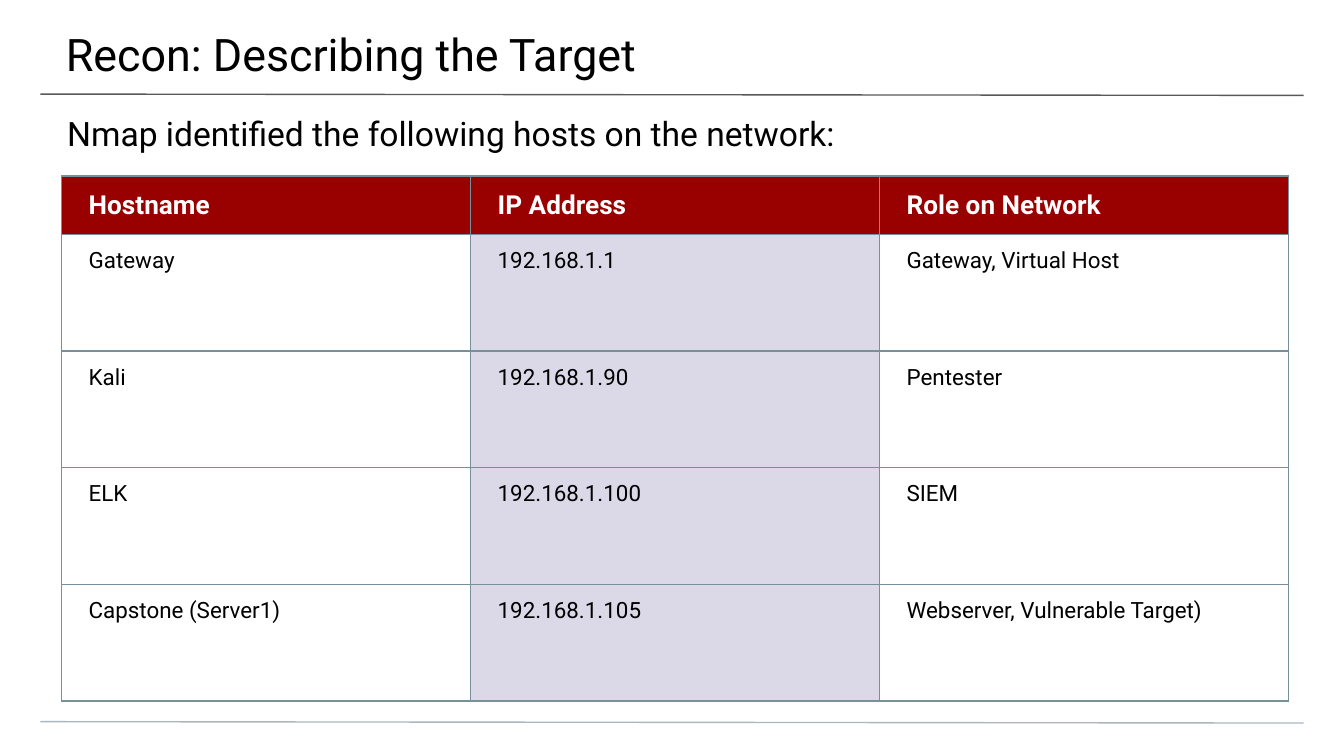
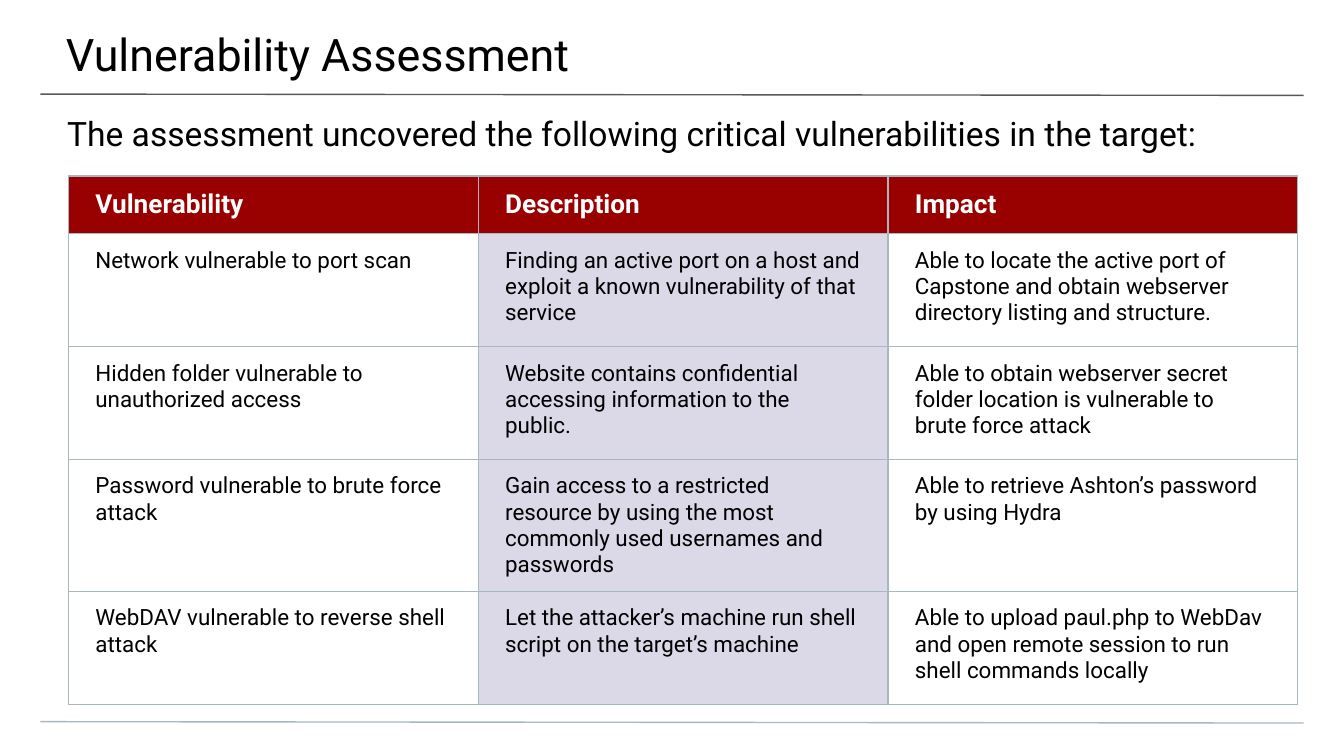
from dataclasses import dataclass
from typing import Any, NamedTuple

from lxml.etree import SubElement as Sub
from pptx import Presentation
from pptx.dml.color import RGBColor as Rgb
from pptx.enum.shapes import MSO_CONNECTOR as Link
from pptx.enum.text import MSO_ANCHOR as Anchor, MSO_AUTO_SIZE as Fit, PP_ALIGN as Align
from pptx.oxml import parse_xml
from pptx.oxml.ns import nsdecls, qn
from pptx.slide import Slide
from pptx.util import Emu, Inches, Pt

WIDE, HIGH = Inches(10), Inches(5.625)
COLS = 100
UNIT = WIDE / COLS


@dataclass(frozen=True)
class Theme:
    face: str = "Roboto"
    ink: str = "000000"
    light: str = "FFFFFF"
    head: str = "990000"
    tint: str = "DBD9E8"
    rule: str = "595959"
    foot: str = "A9B7C0"
    title: int = 24
    lead: int = 18
    label: int = 14
    body: int = 12
    line: float = 0.75


class Box(NamedTuple):
    left: float
    top: float
    width: float
    height: float


class Pad(NamedTuple):
    left: float
    top: float
    right: float
    bottom: float


class Rule(NamedTuple):
    top: float
    color: str


class Grid(NamedTuple):
    left: float
    col: float
    head: float
    row: float
    edge: str
    cells: list[tuple[str, str, str]]


class Page(NamedTuple):
    title: str
    lead: str
    grid: Grid


THEME = Theme()
TITLE, TITLE_PAD = Box(-0.1, 0, 100.3, 5.8), Pad(5, 2, 3, 1)
LEAD, LEAD_PAD = Box(0, 7.4, 100, 4), Pad(5, 1, 5, 0)
CELL_PAD = Pad(2, 1, 2, 1)
GRID_TOP = 13.1
RULES = [Rule(7, THEME.rule), Rule(53.7, THEME.foot)]

PAGES = [
    Page(
        "Recon: Describing the Target",
        "Nmap identified the following hosts on the network:",
        Grid(4.6, 30.43, 4.35, 8.68, "78909C", [
            ("Hostname", "IP Address", "Role on Network"),
            ("Gateway", "192.168.1.1", "Gateway, Virtual Host"),
            ("Kali", "192.168.1.90", "Pentester"),
            ("ELK", "192.168.1.100", "SIEM"),
            ("Capstone (Server1)", "192.168.1.105", "Webserver, Vulnerable Target)"),
        ]),
    ),
    Page(
        "Vulnerability Assessment",
        "The assessment uncovered the following critical vulnerabilities in the target:",
        Grid(5.1, 30.49, 4.3, 8.4, THEME.foot, [
            ("Vulnerability", "Description", "Impact"),
            ("Network vulnerable to port scan",
             "Finding an active port on a host and exploit a known vulnerability of that service",
             "Able to locate the active port of Capstone and obtain webserver directory "
             "listing and structure."),
            ("Hidden folder vulnerable to unauthorized access",
             "Website contains confidential accessing information to the public.",
             "Able to obtain webserver secret folder location is vulnerable to brute force attack"),
            ("Password vulnerable to brute force attack",
             "Gain access to a restricted resource by using the most commonly used "
             "usernames and passwords",
             "Able to retrieve Ashton’s password by using Hydra"),
            ("WebDAV vulnerable to reverse shell attack",
             "Let the attacker’s machine run shell script on the target’s machine",
             "Able to upload paul.php to WebDav and open remote session to run shell "
             "commands locally"),
        ]),
    ),
]


def span(count: float) -> Emu:
    return Emu(round(count * UNIT))


def put(item: Any, values: dict[str, Any]) -> None:
    for name, value in values.items():
        setattr(item, name, value)


def inset(item: Any, pad: Pad) -> None:
    put(item, {f"margin_{side}": span(size) for side, size in pad._asdict().items()})


def write(frame: Any, text: str, size: int, color: str, bold: bool = False) -> None:
    frame.text = text
    para = frame.paragraphs[0]
    para.alignment = Align.LEFT
    font = para.runs[0].font
    put(font, {"name": THEME.face, "size": Pt(size), "bold": bold})
    font.color.rgb = Rgb.from_string(color)


def block(shape: Any, box: Box, pad: Pad, text: str, size: int) -> None:
    put(shape, {side: span(size) for side, size in box._asdict().items()})
    frame = shape.text_frame
    put(frame, {"word_wrap": True, "auto_size": Fit.NONE, "vertical_anchor": Anchor.TOP})
    inset(frame, pad)
    write(frame, text, size, THEME.ink)


def draw_rule(slide: Slide, rule: Rule) -> None:
    line = slide.shapes.add_connector(
        Link.STRAIGHT, span(3), span(rule.top), span(97), span(rule.top + 0.1))
    line.line.width = Pt(THEME.line)
    line.line.color.rgb = Rgb.from_string(rule.color)
    Sub(line._element.spPr, qn("a:effectLst"))


def edge(cell: Any, color: str) -> None:
    props = cell._tc.get_or_add_tcPr()
    for spot, side in enumerate("LRTB"):
        props.insert(spot, parse_xml(
            f'<a:ln{side} {nsdecls("a")} w="{Pt(THEME.line)}"><a:solidFill>'
            f'<a:srgbClr val="{color}"/></a:solidFill></a:ln{side}>'))


def paint(cell: Any, color: str | None) -> None:
    if color is None:
        cell.fill.background()
    else:
        cell.fill.solid()
        cell.fill.fore_color.rgb = Rgb.from_string(color)


def draw_grid(slide: Slide, grid: Grid) -> None:
    rows, cols = len(grid.cells), len(grid.cells[0])
    tall = grid.head + grid.row * (rows - 1)
    table = slide.shapes.add_table(
        rows, cols, span(grid.left), span(GRID_TOP), span(grid.col * cols), span(tall)).table
    table.horz_banding = False
    for col in table.columns:
        col.width = span(grid.col)
    for r, texts in enumerate(grid.cells):
        head = r == 0
        table.rows[r].height = span(grid.head if head else grid.row)
        for c, text in enumerate(texts):
            cell = table.cell(r, c)
            inset(cell, CELL_PAD)
            cell.vertical_anchor = Anchor.MIDDLE if head else Anchor.TOP
            write(cell.text_frame, text, THEME.label if head else THEME.body,
                  THEME.light if head else THEME.ink, head)
            paint(cell, THEME.head if head else THEME.tint if c == 1 else None)
            edge(cell, grid.edge)


def draw_page(slide: Slide, page: Page) -> None:
    for rule in RULES:
        draw_rule(slide, rule)
    block(slide.shapes.title, TITLE, TITLE_PAD, page.title, THEME.title)
    lead = slide.shapes.add_textbox(*map(span, LEAD))
    block(lead, LEAD, LEAD_PAD, page.lead, THEME.lead)
    draw_grid(slide, page.grid)


def main() -> None:
    deck = Presentation()
    put(deck, {"slide_width": WIDE, "slide_height": HIGH})
    plain = deck.slide_layouts.get_by_name("Title Only")
    for page in PAGES:
        draw_page(deck.slides.add_slide(plain), page)
    deck.save("out.pptx")


if __name__ == "__main__":
    main()
